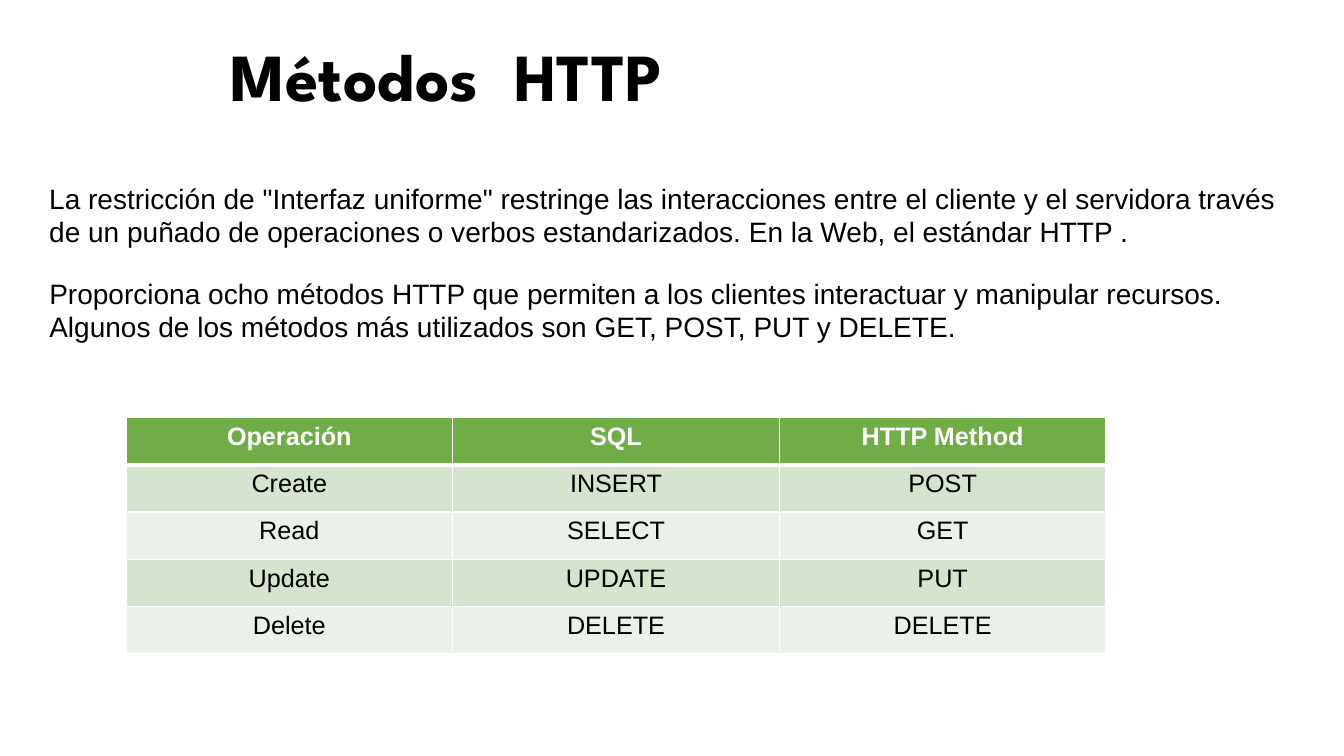
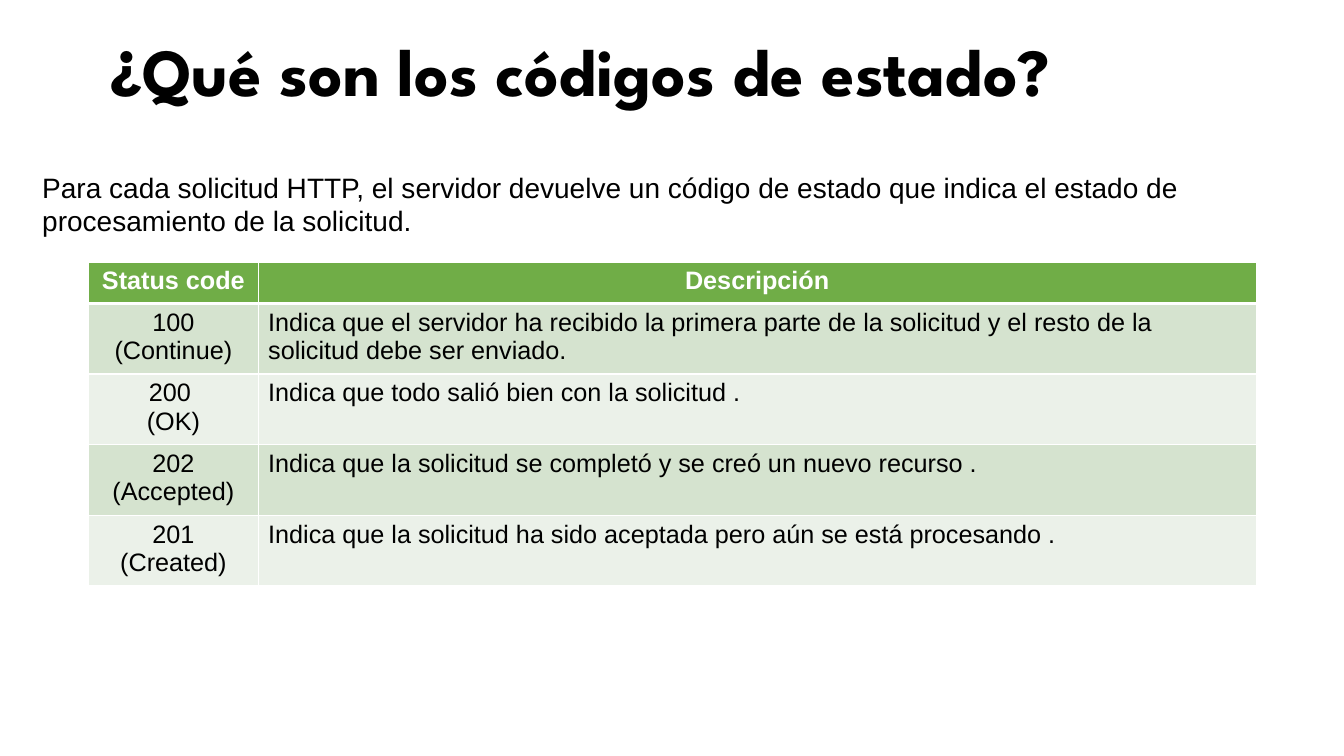
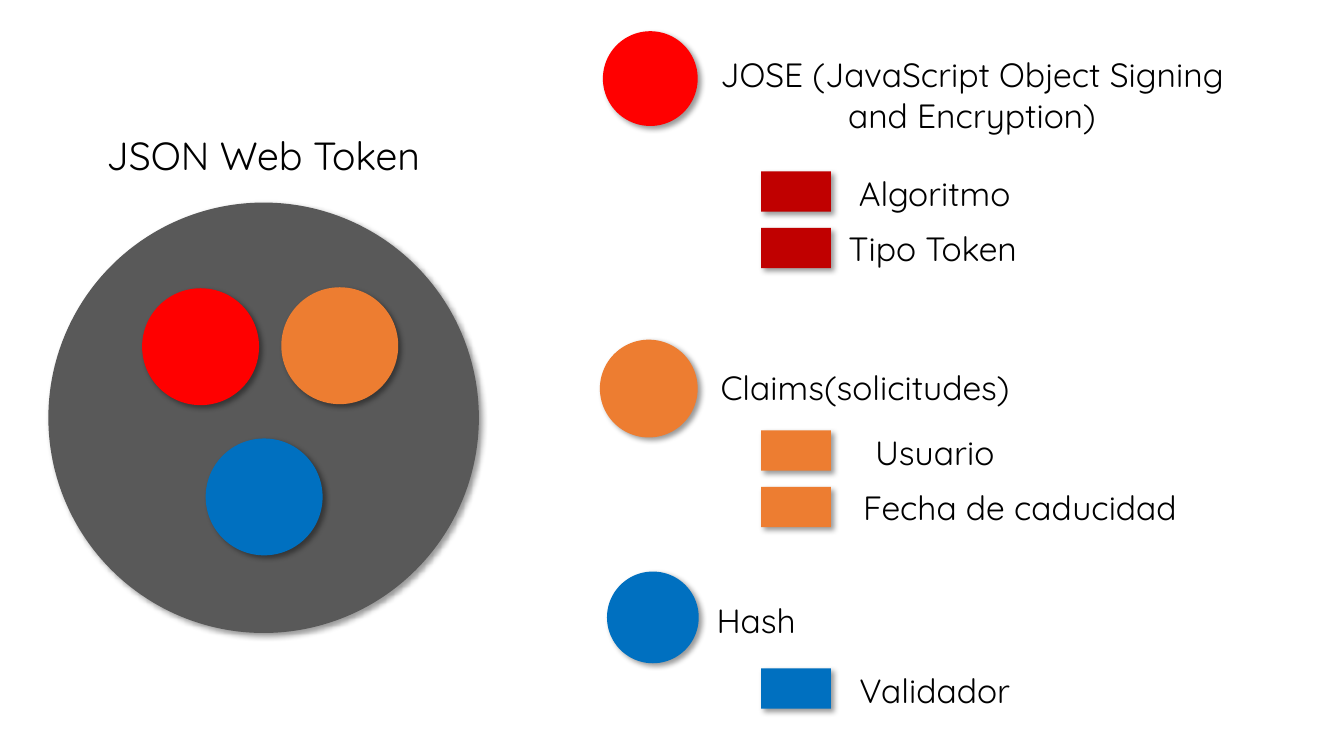
from dataclasses import dataclass

from lxml import etree
from pptx import Presentation
from pptx.dml.color import RGBColor
from pptx.enum.shapes import MSO_SHAPE
from pptx.enum.text import MSO_AUTO_SIZE, PP_ALIGN
from pptx.oxml import parse_xml
from pptx.oxml.ns import nsdecls, qn
from pptx.presentation import Presentation as Deck
from pptx.slide import Slide
from pptx.table import _Cell
from pptx.util import Inches, Pt

OVAL, RECT = MSO_SHAPE.OVAL, MSO_SHAPE.RECTANGLE
LEFT, CENTER = PP_ALIGN.LEFT, PP_ALIGN.CENTER
GROW = MSO_AUTO_SIZE.SHAPE_TO_FIT_TEXT

# Shared colours and fonts
WHITE = RGBColor(0xFF, 0xFF, 0xFF)
BLACK = RGBColor(0x00, 0x00, 0x00)
GREEN = RGBColor(0x70, 0xAD, 0x47)
GREEN_BAND = RGBColor(0xD5, 0xE3, 0xCF)
PALE_BAND = RGBColor(0xEB, 0xF1, 0xE9)
GRAY = RGBColor(0x59, 0x59, 0x59)
RED = RGBColor(0xFF, 0x00, 0x00)
DARK_RED = RGBColor(0xC0, 0x00, 0x00)
ORANGE = RGBColor(0xED, 0x7D, 0x31)
BLUE = RGBColor(0x00, 0x70, 0xC0)
TITLE_FONT, BODY_FONT, DIAGRAM_FONT = "League Spartan", "Arial", "Quicksand"


@dataclass(frozen=True)
class Box:
    left: float
    top: float
    width: float
    height: float


@dataclass(frozen=True)
class TextStyle:
    font: str
    size: int
    align: PP_ALIGN = CENTER
    color: RGBColor = BLACK
    bold: bool = False


@dataclass(frozen=True)
class Label:
    text: str
    box: Box


@dataclass(frozen=True)
class TokenPart:
    """One part of the token: its dot, its legend entry and its fields."""
    color: RGBColor
    field_color: RGBColor
    dot: tuple[float, float]
    legend: Box
    heading: Label
    fields: tuple[Label, ...]


TITLE = TextStyle(TITLE_FONT, 48, bold=True)
BODY = TextStyle(BODY_FONT, 20, LEFT)
TABLE_HEAD = TextStyle(BODY_FONT, 18, color=WHITE, bold=True)
TABLE_CENTER = TextStyle(BODY_FONT, 18)
TABLE_LEFT = TextStyle(BODY_FONT, 18, LEFT)
DIAGRAM_TITLE = TextStyle(DIAGRAM_FONT, 28)
DIAGRAM_LABEL = TextStyle(DIAGRAM_FONT, 24)

# Token diagram measures
DOT_SIZE = 1.16
FIELD_LEFT, FIELD_WIDTH, FIELD_HEIGHT, FIELD_STEP = 7.55, 0.69, 0.4, 0.56

METHODS = [
    ["Operación", "SQL", "HTTP Method"],
    ["Create", "INSERT", "POST"],
    ["Read", "SELECT", "GET"],
    ["Update", "UPDATE", "PUT"],
    ["Delete", "DELETE", "DELETE"],
]

STATUS_CODES = [
    ["Status code", "Descripción"],
    ["100 (Continue)", "Indica que el servidor ha recibido la primera parte de la "
     "solicitud y el resto de la solicitud debe ser enviado."],
    ["200 \n(OK)", "Indica que todo salió bien con la solicitud ."],
    ["202 (Accepted)", "Indica que la solicitud se completó y se creó un nuevo recurso ."],
    ["201 (Created)", "Indica que la solicitud ha sido aceptada pero aún se está procesando ."],
]

TOKEN_PARTS = [
    TokenPart(RED, DARK_RED, (1.41, 2.86), Box(5.98, 0.31, 0.94, 0.94),
              Label("JOSE (JavaScript Object Signing and Encryption)",
                    Box(6.82, 0.49, 5.64, 0.91)),
              (Label("Algoritmo", Box(8.05, 1.67, 2.44, 0.5)),
               Label("Tipo Token", Box(8.03, 2.21, 2.44, 0.5)))),
    TokenPart(ORANGE, ORANGE, (2.79, 2.85), Box(5.95, 3.37, 0.97, 0.97),
              Label("Claims(solicitudes)", Box(5.76, 3.59, 5.64, 0.5)),
              (Label("Usuario", Box(8.05, 4.24, 2.44, 0.5)),
               Label("Fecha de caducidad", Box(8.03, 4.78, 4.17, 0.5)))),
    TokenPart(BLUE, BLUE, (2.04, 4.35), Box(6.02, 5.67, 0.91, 0.91),
              Label("Hash", Box(4.68, 5.9, 5.64, 0.5)),
              (Label("Validador", Box(8.05, 6.6, 2.44, 0.5)),)),
]


def lengths(box: Box) -> list[int]:
    return [Inches(v) for v in (box.left, box.top, box.width, box.height)]


def write(frame, text: str, style: TextStyle) -> None:
    frame.text = text
    for paragraph in frame.paragraphs:
        paragraph.alignment = style.align
        for run in paragraph.runs:
            run.font.name = style.font
            run.font.size = Pt(style.size)
            run.font.bold = style.bold
            run.font.color.rgb = style.color


def add_text(slide: Slide, text: str, box: Box, style: TextStyle) -> None:
    frame = slide.shapes.add_textbox(*lengths(box)).text_frame
    frame.word_wrap = True
    frame.auto_size = GROW
    write(frame, text, style)


def add_title(slide: Slide, text: str, top: float, width: float) -> None:
    add_text(slide, text, Box(0, top, width, 0.91), TITLE)


def add_shadowed(slide: Slide, kind: MSO_SHAPE, box: Box, color: RGBColor) -> None:
    shape = slide.shapes.add_shape(kind, *lengths(box))
    shape.fill.solid()
    shape.fill.fore_color.rgb = color
    shape.line.fill.background()
    shape.shadow.inherit = False
    effects = shape._element.spPr.find(qn("a:effectLst"))
    effects.append(parse_xml(
        f'<a:outerShdw {nsdecls("a")} blurRad="{Pt(4)}" dist="{Pt(3)}" dir="2700000" '
        'algn="tl" rotWithShape="0"><a:srgbClr val="000000"><a:alpha val="40000"/>'
        '</a:srgbClr></a:outerShdw>'))


def set_borders(cell: _Cell, top: int, bottom: int) -> None:
    properties = cell._tc.get_or_add_tcPr()
    sides = (("a:lnL", 1), ("a:lnR", 1), ("a:lnT", top), ("a:lnB", bottom))
    for index, (tag, width) in enumerate(sides):
        line = etree.Element(qn(tag), w=str(Pt(width)))
        fill = etree.SubElement(line, qn("a:solidFill"))
        etree.SubElement(fill, qn("a:srgbClr"), val=str(WHITE))
        properties.insert(index, line)


def add_banded_table(slide: Slide, rows: list[list[str]], left: float, top: float,
                     widths: list[float], heights: list[float],
                     body_styles: list[TextStyle]) -> None:
    box = Box(left, top, sum(widths), sum(heights))
    table = slide.shapes.add_table(len(rows), len(widths), *lengths(box)).table
    for column, width in zip(table.columns, widths):
        column.width = Inches(width)
    for r, (texts, height) in enumerate(zip(rows, heights)):
        table.rows[r].height = Inches(height)
        band = GREEN if r == 0 else GREEN_BAND if r % 2 else PALE_BAND
        for c, text in enumerate(texts):
            cell = table.cell(r, c)
            write(cell.text_frame, text, TABLE_HEAD if r == 0 else body_styles[c])
            cell.fill.solid()
            cell.fill.fore_color.rgb = band
            set_borders(cell, 3 if r == 1 else 1, 3 if r == 0 else 1)


def new_slide(deck: Deck) -> Slide:
    return deck.slides.add_slide(deck.slide_layouts[6])


def build_methods(deck: Deck) -> None:
    slide = new_slide(deck)
    add_title(slide, "Métodos  HTTP", 0.29, 8.86)
    add_text(slide, 'La restricción de "Interfaz uniforme" restringe las interacciones entre '
             "el cliente y el servidora través de un puñado de operaciones o verbos "
             "estandarizados. En la Web, el estándar HTTP .",
             Box(0.39, 1.75, 12.64, 0.77), BODY)
    add_text(slide, "Proporciona ocho métodos HTTP que permiten a los clientes interactuar y "
             "manipular recursos. Algunos de los métodos más utilizados son GET, POST, PUT "
             "y DELETE.", Box(0.39, 2.69, 12.32, 0.77), BODY)
    add_banded_table(slide, METHODS, 1.25, 4.14, [3.24] * 3, [0.47] * 5, [TABLE_CENTER] * 3)


def build_status_codes(deck: Deck) -> None:
    slide = new_slide(deck)
    add_title(slide, "¿Qué son los códigos de estado?", 0.24, 11.52)
    add_text(slide, "Para cada solicitud HTTP, el servidor devuelve un código de estado que "
             "indica el estado de procesamiento de la solicitud.",
             Box(0.32, 1.64, 12.71, 0.77), BODY)
    add_banded_table(slide, STATUS_CODES, 0.88, 2.6, [1.68, 9.9], [0.41] + [0.7] * 4,
                     [TABLE_CENTER, TABLE_LEFT])


def build_token(deck: Deck) -> None:
    slide = new_slide(deck)
    # Whole token
    add_shadowed(slide, OVAL, Box(0.48, 2.01, 4.27, 4.27), GRAY)
    add_text(slide, "JSON Web Token", Box(0.35, 1.25, 4.52, 0.57), DIAGRAM_TITLE)
    # Parts with their legend
    for part in TOKEN_PARTS:
        add_shadowed(slide, OVAL, Box(*part.dot, DOT_SIZE, DOT_SIZE), part.color)
        add_shadowed(slide, OVAL, part.legend, part.color)
        add_text(slide, part.heading.text, part.heading.box, DIAGRAM_LABEL)
        first_top = part.fields[0].box.top + 0.03
        for i, field in enumerate(part.fields):
            swatch = Box(FIELD_LEFT, first_top + i * FIELD_STEP, FIELD_WIDTH, FIELD_HEIGHT)
            add_shadowed(slide, RECT, swatch, part.field_color)
            add_text(slide, field.text, field.box, DIAGRAM_LABEL)


def main() -> None:
    deck = Presentation()
    deck.slide_width, deck.slide_height = Inches(13.33), Inches(7.5)
    build_methods(deck)
    build_status_codes(deck)
    build_token(deck)
    deck.save("out.pptx")


if __name__ == "__main__":
    main()
